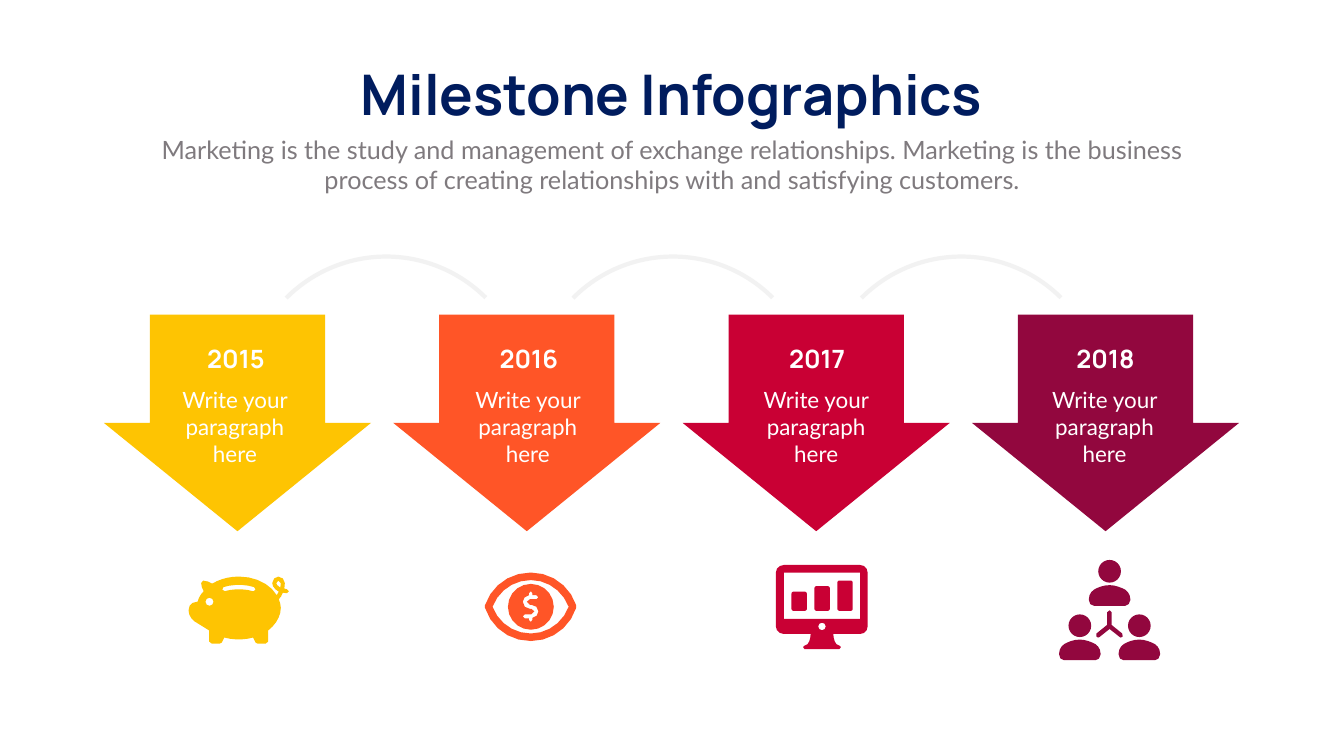
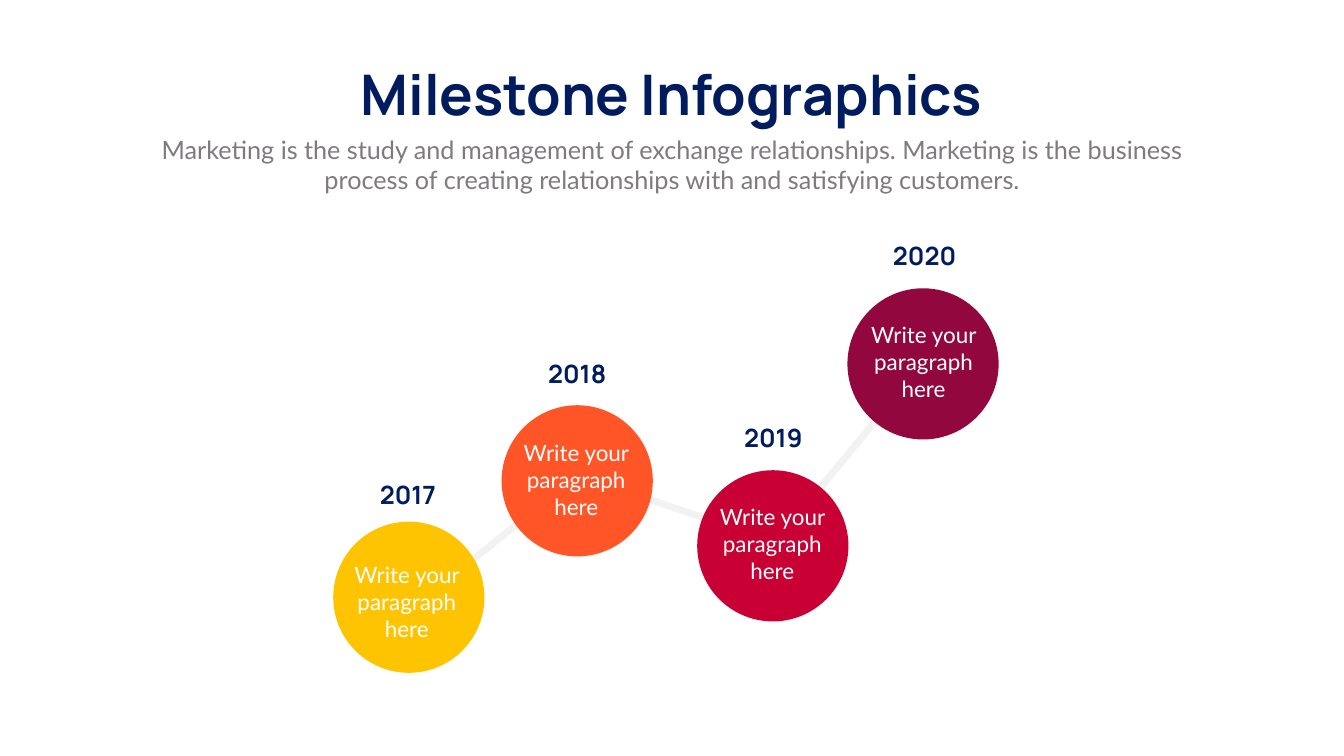
from math import ceil, dist

from lxml.etree import SubElement
from pptx import Presentation
from pptx.dml.color import RGBColor
from pptx.enum.shapes import MSO_CONNECTOR, MSO_SHAPE
from pptx.enum.text import MSO_AUTO_SIZE, PP_ALIGN
from pptx.oxml.ns import qn
from pptx.util import Inches, Pt

COLUMNS, ROWS = 26.66, 15
ICON_UNITS = 100
CURVE_STEP, MOST_STEPS = 10, 5

NAVY = RGBColor(0x00, 0x1C, 0x5E)
GREY = RGBColor(0x7F, 0x7A, 0x7E)
WHITE = RGBColor(0xFF, 0xFF, 0xFF)
PALE = RGBColor(0xF2, 0xF2, 0xF2)
MID_GREY = RGBColor(0x80, 0x80, 0x80)
YELLOW = RGBColor(0xFE, 0xC4, 0x02)
ORANGE = RGBColor(0xFF, 0x55, 0x27)
RED = RGBColor(0xC9, 0x00, 0x34)
PLUM = RGBColor(0x92, 0x07, 0x3E)
STEP_COLORS = (YELLOW, ORANGE, RED, PLUM)

TITLE = "Milestone Infographics"
SUBTITLE = (
    "Marketing is the study and management of exchange relationships. "
    "Marketing is the business process of creating relationships with "
    "and satisfying customers."
)
CAPTION = "Write your paragraph here"


def circle(x, y, radius):
    bend = 0.55 * radius
    left, right, top, bottom = x - radius, x + radius, y - radius, y + radius
    return (
        f"M {right} {y} C {right} {y + bend} {x + bend} {bottom} {x} {bottom} "
        f"C {x - bend} {bottom} {left} {y + bend} {left} {y} "
        f"C {left} {y - bend} {x - bend} {top} {x} {top} "
        f"C {x + bend} {top} {right} {y - bend} {right} {y} Z "
    )


PIG = (
    "M 195 25 L 190 24 L 191 13 "
    "C 191 6 185 0 178 0 C 172 0 166 6 166 13 C 166 19 171 26 179 30 "
    "L 175 37 C 162 15 133 0 100 0 C 80 0 62 5 47 14 "
    "C 42 11 35 8 29 8 C 27 8 25 10 25 13 C 25 18 27 24 30 29 "
    "C 24 35 20 42 18 50 L 17 50 C 7 50 0 57 0 67 C 0 76 5 84 12 89 "
    "L 41 107 L 41 129 C 41 131 43 133 46 133 L 62 133 "
    "L 66 131 L 71 121 C 89 126 110 126 128 121 L 133 131 "
    "L 137 133 L 153 133 C 156 133 158 131 158 129 "
    "L 158 107 C 173 95 183 79 183 62 C 183 56 181 50 179 45 "
    "C 182 42 185 38 187 32 L 195 33 L 199 29 Z "
    + circle(41.5, 50, 8)
    + "M 133 26 L 129 29 L 127 29 C 112 24 88 24 72 29 L 67 26 L 69 21 "
    "C 87 15 113 15 130 21 Z "
    "M 182 22 C 177 19 174 15 174 13 L 178 8 L 183 13 Z"
)
EYE = (
    "M 182 65 C 169 26 133 0 92 0 C 50 0 14 26 1 65 L 1 70 "
    "C 14 110 50 136 92 136 C 133 136 169 110 182 70 Z "
    "M 92 121 C 58 121 28 100 16 68 C 28 36 58 15 92 15 "
    "C 125 15 155 36 167 68 C 155 100 125 121 92 121 Z"
)
COIN = circle(92, 68, 45.5) + (
    "M 90 64 L 93 64 C 101 64 107 70 107 77 C 107 84 102 89 95 90 L 95 94 "
    "L 92 98 L 88 94 L 88 91 L 80 91 L 76 87 L 80 83 L 93 83 "
    "C 97 83 99 80 99 77 C 99 74 97 72 93 72 L 90 72 "
    "C 82 72 76 66 76 58 C 76 52 81 46 88 45 L 88 41 "
    "L 92 37 L 95 41 L 95 45 L 103 45 L 107 49 L 103 53 L 90 53 "
    "C 86 53 84 55 84 58 C 84 61 86 64 90 64 Z"
)
MONITOR = (
    "M 167 0 L 16 0 C 7 0 0 7 0 15 L 0 122 C 0 130 7 137 16 137 L 69 137 "
    "C 69 143 67 153 63 157 L 57 160 L 54 163 L 57 167 L 126 167 "
    "L 129 163 L 126 160 L 120 157 C 116 153 114 143 114 137 L 167 137 "
    "C 176 137 182 130 182 122 L 182 15 C 182 7 176 0 167 0 Z "
    + circle(91.5, 122, 7.5)
    + "M 16 107 L 16 15 L 167 15 L 167 107 Z"
)
BUST = (
    "M 10 91 L 72 91 C 77 91 82 86 82 80 L 82 77 C 82 70 78 63 72 59 "
    "C 64 55 53 50 41 50 C 28 50 17 55 10 59 C 4 63 0 70 0 77 L 0 80 "
    "C 0 86 4 91 10 91 Z"
)
TEAM_LINK = (
    "M 122 154 L 126 152 L 125 146 L 104 129 L 104 104 L 100 100 "
    "L 95 104 L 95 129 L 74 146 L 74 152 L 77 154 L 80 153 "
    "L 100 137 L 120 153 Z"
)
TEAM_PLACES = ((59, 0), (0, 108), (118, 108))
HEADS = [(MSO_SHAPE.OVAL, x + 18.5, y, 45, 45) for x, y in TEAM_PLACES]
BUSTS = [(BUST, x, y) for x, y in TEAM_PLACES]
BARS = [
    (MSO_SHAPE.ROUNDED_RECTANGLE, 31 + 45.5 * i, 53 - 11 * i, 30.5, 38 + 11 * i)
    for i in range(3)
]
ICONS = (
    (3.74, 11.44, [], [(PIG, 0, 0)]),
    (9.61, 11.36, [], [(EYE, 0, 0), (COIN, 0, 0)]),
    (15.39, 11.21, BARS, [(MONITOR, 0, 0)]),
    (21.01, 11.11, HEADS, BUSTS + [(TEAM_LINK, 0, 0)]),
)


def bend_points(curve):
    steps = min(MOST_STEPS, ceil(dist(curve[0], curve[3]) / CURVE_STEP))
    for step in range(1, steps + 1):
        t = step / steps
        weights = ((1 - t) ** 3, 3 * t * (1 - t) ** 2, 3 * t * t * (1 - t), t**3)
        yield tuple(
            sum(weight * point[axis] for weight, point in zip(weights, curve))
            for axis in (0, 1)
        )


def trace(outline):
    contours = []
    for letter in "MCL":
        outline = outline.replace(letter, "|" + letter)
    for command in outline.replace("Z", "").split("|")[1:]:
        numbers = [float(number) for number in command[1:].split()]
        points = list(zip(numbers[::2], numbers[1::2]))
        if command[0] == "M":
            contours.append(points)
        elif command[0] == "L":
            contours[-1] += points
        else:
            contours[-1] += list(bend_points([contours[-1][-1], *points]))
    return contours


class Deck:
    def __init__(self):
        self.presentation = Presentation()
        self.presentation.slide_width = Inches(COLUMNS)
        self.presentation.slide_height = Inches(ROWS)
        self.slide = None

    def x(self, columns):
        return round(self.presentation.slide_width * columns / COLUMNS)

    def y(self, rows):
        return round(self.presentation.slide_height * rows / ROWS)

    def box(self, left, top, width, height):
        return self.x(left), self.y(top), self.x(width), self.y(height)

    def add_slide(self):
        self.slide = self.presentation.slides.add_slide(self.presentation.slide_layouts[6])
        self.text(6.61, 1.14, 13.43, 1.45, TITLE, 80, NAVY, "Manrope", True, False)
        self.text(2.92, 2.61, 20.82, 1.31, SUBTITLE, 36, GREY)

    def text(self, left, top, width, height, words, size, color,
             font="Lato", bold=False, wrap=True):
        frame = self.slide.shapes.add_textbox(*self.box(left, top, width, height)).text_frame
        frame.word_wrap = wrap
        frame.auto_size = MSO_AUTO_SIZE.SHAPE_TO_FIT_TEXT
        paragraph = frame.paragraphs[0]
        paragraph.alignment = PP_ALIGN.CENTER
        run = paragraph.add_run()
        run.text = words
        run.font.name = font
        run.font.size = Pt(size)
        run.font.bold = bold
        run.font.color.rgb = color

    def milestone(self, left, top, year, color, caption_drop):
        self.text(left, top, 2.1, 0.71, year, 36, color, "Manrope", True)
        self.text(left - 0.13, top + caption_drop, 2.32, 1.72, CAPTION, 32, WHITE)

    def paint(self, shape, color):
        shape.shadow.inherit = False
        shape.fill.solid()
        shape.fill.fore_color.rgb = color
        shape.line.fill.background()

    def arrow(self, left, top, color):
        shape = self.slide.shapes.add_shape(MSO_SHAPE.UP_ARROW, *self.box(left, top, 5.3, 4.3))
        shape.rotation = 180
        shape.adjustments[0], shape.adjustments[1] = 0.656, 0.5
        self.paint(shape, color)

    def arc(self, left, top):
        shape = self.slide.shapes.add_shape(MSO_SHAPE.ARC, *self.box(left, top, 5.6, 5.6))
        shape.rotation = 314.9
        shape.shadow.inherit = False
        shape.fill.background()
        shape.line.color.rgb = PALE
        shape.line.width = Pt(6)

    def disc(self, left, top, color):
        self.paint(self.slide.shapes.add_shape(MSO_SHAPE.OVAL, *self.box(left, top, 3, 3)), color)

    def link(self, start, end):
        connector = self.slide.shapes.add_connector(
            MSO_CONNECTOR.STRAIGHT, self.x(start[0]), self.y(start[1]), self.x(end[0]), self.y(end[1])
        )
        connector.line.color.rgb = MID_GREY
        connector.line.width = Pt(10)
        properties = connector._element.spPr
        SubElement(next(properties.iter(qn("a:srgbClr"))), qn("a:alpha"), val="10000")
        SubElement(properties, qn("a:effectLst"))

    def icon(self, left, top, presets, outlines, color):
        shapes = self.slide.shapes.add_group_shape().shapes
        for kind, *place in presets:
            x, y, width, height = (length / ICON_UNITS for length in place)
            shape = shapes.add_shape(kind, *self.box(left + x, top + y, width, height))
            if kind == MSO_SHAPE.ROUNDED_RECTANGLE:
                shape.adjustments[0] = 0.13
            self.paint(shape, color)
        for outline, shift_x, shift_y in outlines:
            contours = [
                [(self.x(left + (x + shift_x) / ICON_UNITS), self.y(top + (y + shift_y) / ICON_UNITS))
                 for x, y in contour]
                for contour in trace(outline)
            ]
            builder = shapes.build_freeform(*contours[0][0])
            for index, contour in enumerate(contours):
                if index:
                    builder.move_to(*contour[0])
                builder.add_line_segments(contour[1:], close=True)
            self.paint(builder.convert_to_shape(), color)


def arrows_slide(deck):
    deck.add_slide()
    for index, color in enumerate(STEP_COLORS):
        deck.arrow(2.06 + 5.74 * index, 6.24, color)
    for left in (4.86, 10.55, 16.27):
        deck.arc(left, 5.09)
    for index, left in enumerate((3.63, 9.44, 15.16, 20.88)):
        deck.milestone(left, 6.77, str(2015 + index), WHITE, 0.85)
    for icon, color in zip(ICONS, STEP_COLORS):
        deck.icon(*icon, color)


def path_slide(deck):
    deck.add_slide()
    for start, end in (
        ((9.06, 11.36), (10.88, 9.9)),
        ((15.89, 10.14), (17.46, 8.24)),
        ((12.39, 9.74), (14.18, 10.35)),
    ):
        deck.link(start, end)
    discs = ((6.61, 10.35), (9.95, 8.04), (13.83, 9.33), (16.81, 5.72))
    for (left, top), color in zip(discs, STEP_COLORS):
        deck.disc(left, top, color)
    labels = ((7.04, 9.47), (10.4, 7.05), (14.29, 8.33), (17.29, 4.72))
    for index, (left, top) in enumerate(labels):
        deck.milestone(left, top, str(2017 + index), NAVY, 1.61)


def main():
    deck = Deck()
    arrows_slide(deck)
    path_slide(deck)
    deck.presentation.save("out.pptx")


if __name__ == "__main__":
    main()
